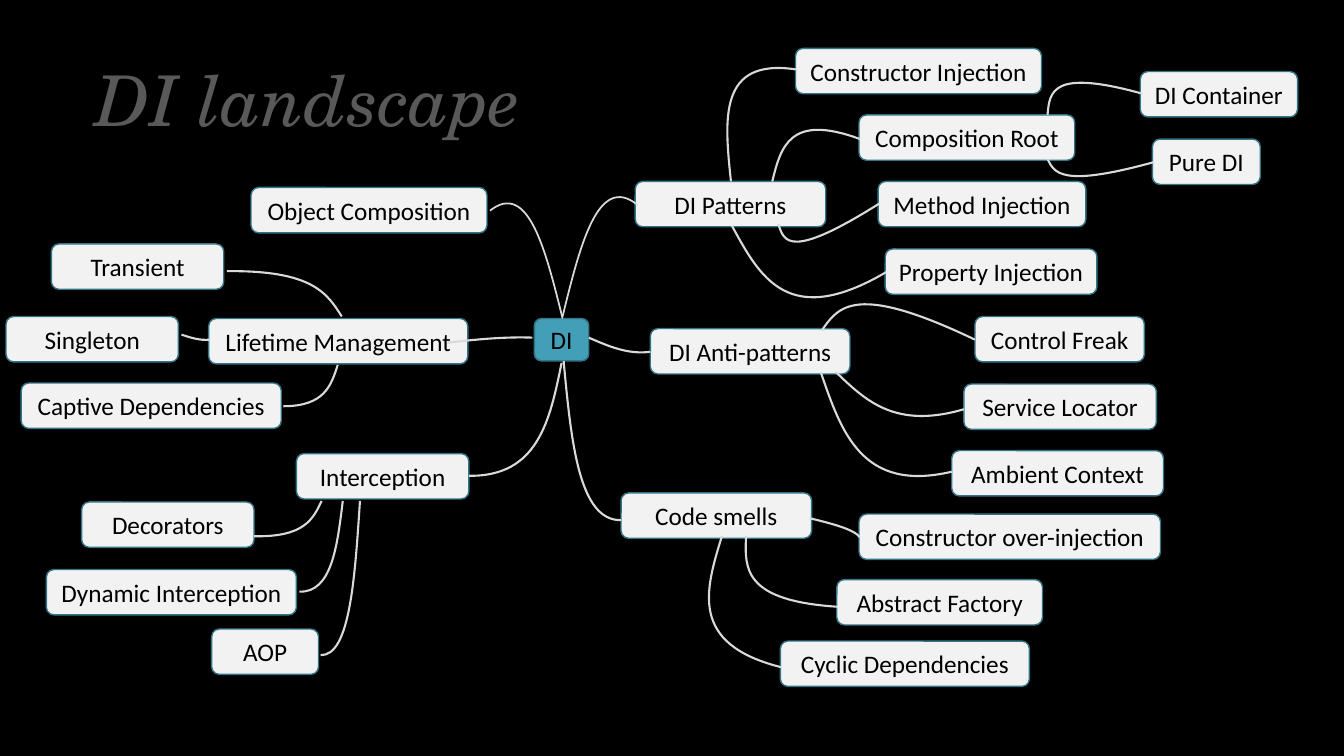
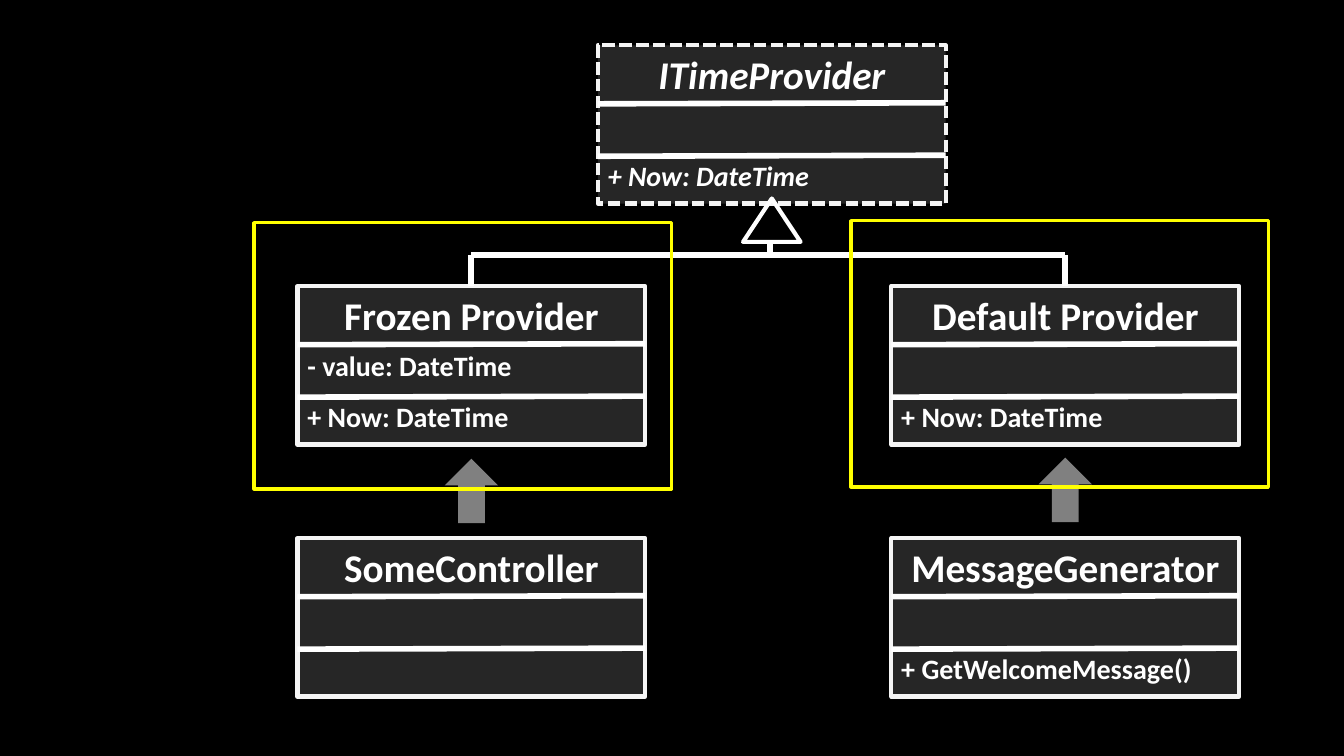
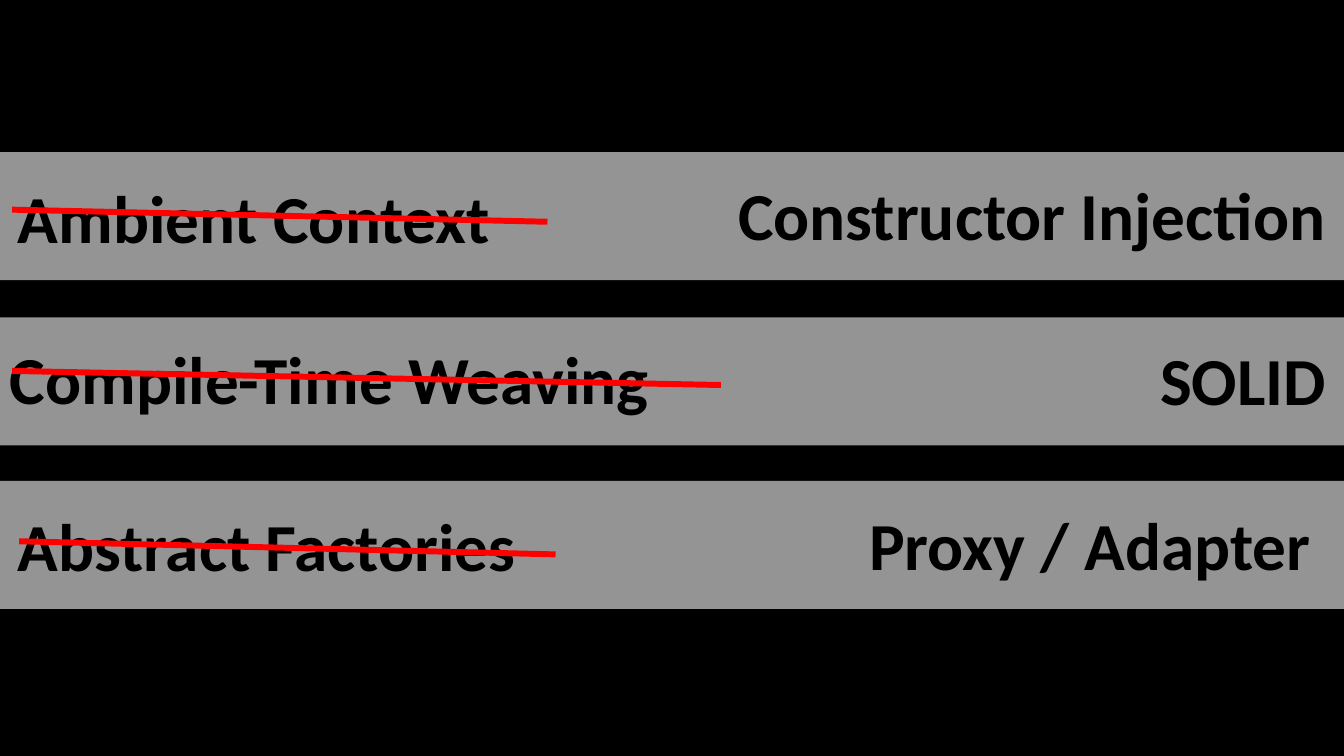
from lxml.etree import SubElement
from pptx import Presentation
from pptx.dml.color import RGBColor
from pptx.enum.dml import MSO_LINE
from pptx.enum.shapes import MSO_CONNECTOR, MSO_SHAPE
from pptx.enum.text import MSO_ANCHOR, PP_ALIGN
from pptx.oxml.ns import qn
from pptx.util import Inches, Pt

COLORS = {
    "black": "000000",
    "white": "FFFFFF",
    "title": "595959",
    "root": "439EB7",
    "node": "F2F2F2",
    "node_edge": "327587",
    "branch": "D9D9D9",
    "class": "262626",
    "class_edge": "F5F5F5",
    "arrow": "808080",
    "highlight": "FFFF00",
    "strike": "FF0000",
}
FORMATS = {
    "title": {"name": "TeX Gyre Schola", "size": Pt(50), "bold": False, "italic": True},
    "node": {"name": "Calibri", "size": Pt(18)},
    "class": {"name": "Calibri", "size": Pt(28), "bold": True},
    "member": {"name": "Calibri", "size": Pt(20), "bold": True},
    "practice": {"name": "Calibri", "size": Pt(48), "bold": True},
}
NODE_HEIGHT = 0.45
CLASS_WIDTH, CLASS_HEIGHT = 3.45, 1.57
CURVE_STEPS = 24

NODES = [
    ("DI Patterns", 6.3, 1.8, 1.89),
    ("DI Anti-patterns", 6.45, 3.26, 1.98),
    ("Code smells", 6.16, 4.89, 1.89),
    ("Constructor Injection", 7.89, 0.48, 2.44),
    ("Composition Root", 8.52, 1.14, 2.14),
    ("Method Injection", 8.71, 1.8, 2.06),
    ("Property Injection", 8.78, 2.47, 2.1),
    ("DI Container", 11.31, 0.71, 1.56),
    ("Pure DI", 11.43, 1.38, 1.07),
    ("Control Freak", 9.67, 3.14, 1.68),
    ("Service Locator", 9.56, 3.81, 1.91),
    ("Ambient Context", 9.44, 4.47, 2.1),
    ("Constructor over-injection", 8.52, 5.1, 2.99),
    ("Abstract Factory", 8.3, 5.75, 2.04),
    ("Cyclic Dependencies", 7.74, 6.36, 2.47),
    ("Object Composition", 2.49, 1.86, 2.34),
    ("Lifetime Management", 2.07, 3.16, 2.57),
    ("Interception", 2.94, 4.5, 1.71),
    ("Decorators", 0.81, 4.98, 1.71),
    ("Dynamic Interception", 0.46, 5.65, 2.48),
    ("Transient", 0.51, 2.42, 1.71),
    ("Singleton", 0.06, 3.14, 1.71),
    ("Captive Dependencies", 0.21, 3.8, 2.58),
    ("AOP", 2.1, 6.24, 1.06),
]
THIN_BRANCHES = [
    ((5.58, 3.14), (5.93, 1.72), (6.32, 2.03)),
    ((5.58, 3.16), (5.24, 1.79), (4.86, 2.09)),
]
BRANCHES = [
    ((5.59, 3.58), (5.74, 5.17), (6.16, 5.16)),
    ((5.84, 3.35), (6.23, 3.52), (6.45, 3.49)),
    ((7.25, 1.8), (7.12, 0.57), (7.9, 0.69)),
    ((7.26, 2.24), (7.82, 3.27), (8.79, 2.7)),
    ((7.66, 1.8), (7.83, 1.12), (8.53, 1.38)),
    ((7.72, 2.22), (7.83, 2.58), (8.72, 2.02)),
    ((8.15, 3.28), (8.48, 2.8), (9.67, 3.37)),
    ((8.14, 3.69), (8.55, 4.89), (9.44, 4.68)),
    ((8.29, 3.69), (8.88, 4.26), (9.56, 4.06)),
    ((8.03, 5.14), (8.47, 5.25), (8.53, 5.33)),
    ((7.4, 5.32), (7.37, 5.96), (8.31, 6.02)),
    ((7.16, 5.32), (6.83, 6.39), (7.75, 6.62)),
    ((10.39, 1.14), (10.43, 0.68), (11.33, 0.93)),
    ((10.39, 1.58), (10.53, 1.86), (11.44, 1.61)),
    ((5.57, 3.6), (5.34, 4.73), (4.65, 4.72)),
    ((4.44, 3.4), (4.98, 3.34), (5.28, 3.35)),
    ((3.35, 3.62), (3.22, 4.03), (2.81, 4.03)),
    ((3.39, 3.14), (3.1, 2.68), (2.25, 2.69)),
    ((1.8, 3.32), (1.98, 3.38), (2.08, 3.37)),
    ((3.19, 4.97), (3.02, 5.33), (2.52, 5.32)),
    ((3.4, 4.97), (3.29, 5.88), (2.97, 5.87)),
    ((3.57, 4.97), (3.47, 6.51), (3.18, 6.5)),
]


def rgb(color):
    """Return the palette colour with this name."""
    return RGBColor.from_string(COLORS[color])


def write(box, text, style, color, align=PP_ALIGN.LEFT, **extra):
    """Write one formatted paragraph and return it."""
    para = box.text_frame.paragraphs[0]
    para.alignment = align
    span = para.add_run()
    span.text = text
    for name, value in {**FORMATS[style], **extra}.items():
        setattr(span.font, name, value)
    span.font.color.rgb = rgb(color)
    return para


def paint(shape, fill=None, line=None, width=1):
    """Set the fill and outline, leaving out those not named."""
    shape.shadow.inherit = False
    if fill:
        shape.fill.solid()
        shape.fill.fore_color.rgb = rgb(fill)
    else:
        shape.fill.background()
    if line:
        shape.line.color.rgb = rgb(line)
        shape.line.width = Pt(width)
    else:
        shape.line.fill.background()


def add_preset(shapes, kind, place, **look):
    """Add a painted preset shape."""
    shape = shapes.add_shape(kind, *map(Inches, place))
    paint(shape, **look)
    return shape


def add_text(shapes, place, text, style, color, anchor=MSO_ANCHOR.TOP, **extra):
    """Add a wrapping text box."""
    box = shapes.add_textbox(*map(Inches, place))
    box.text_frame.word_wrap = True
    box.text_frame.vertical_anchor = anchor
    write(box, text, style, color, **extra)


def add_line(shapes, start, end, color="white", width=4):
    """Add a straight line without a shadow."""
    line = shapes.add_connector(MSO_CONNECTOR.STRAIGHT, *map(Inches, start + end))
    line.line.color.rgb = rgb(color)
    line.line.width = Pt(width)
    SubElement(line._element.spPr, qn("a:effectLst"))


def add_node(shapes, text, place, fill="node"):
    """Add a labelled node of the mind map."""
    node = add_preset(shapes, MSO_SHAPE.ROUNDED_RECTANGLE, place, fill=fill, line="node_edge")
    node.text_frame.word_wrap = False
    node.text_frame.vertical_anchor = MSO_ANCHOR.MIDDLE
    write(node, text, "node", "black", PP_ALIGN.CENTER)


def curve_point(controls, t):
    """Return the point at t on a cubic with these four control points."""
    weights = ((1 - t) ** 3, 3 * (1 - t) ** 2 * t, 3 * (1 - t) * t ** 2, t ** 3)
    return tuple(
        Inches(sum(weight * value for weight, value in zip(weights, axis)))
        for axis in zip(*controls)
    )


def add_branch(shapes, start, pull, end, width=1.5):
    """Add one cubic whose first handle is halfway from start to pull."""
    handle = tuple((a + b) / 2 for a, b in zip(start, pull))
    controls = (start, handle, pull, end)
    points = [curve_point(controls, step / CURVE_STEPS) for step in range(CURVE_STEPS + 1)]
    builder = shapes.build_freeform(*points[0])
    builder.add_line_segments(points[1:], close=False)
    branch = builder.convert_to_shape()
    outline = next(branch._element.iter(qn("a:path")))
    for segment in list(outline):
        outline.remove(segment)
    for tag, vertices in (("a:moveTo", controls[:1]), ("a:cubicBezTo", controls[1:])):
        segment = SubElement(outline, qn(tag))
        for x, y in vertices:
            SubElement(segment, qn("a:pt"), x=str(Inches(x) - branch.left),
                       y=str(Inches(y) - branch.top))
    paint(branch, line="branch", width=width)


def add_class(page, left, top, name, field="", method="", abstract=False):
    """Add a class box with name, field and method compartments."""
    shapes = page.shapes.add_group_shape().shapes
    frame = add_preset(shapes, MSO_SHAPE.RECTANGLE, (left, top, CLASS_WIDTH, CLASS_HEIGHT),
                       fill="class", line="class_edge", width=3)
    if abstract:
        frame.line.dash_style = MSO_LINE.SQUARE_DOT
    add_text(shapes, (left, top, CLASS_WIDTH, 0.57), name, "class", "white",
             align=PP_ALIGN.CENTER, italic=abstract)
    for offset, member in ((0.57, field), (1.07, method)):
        if member:
            add_text(shapes, (left, top + offset, CLASS_WIDTH, 0.44), member,
                     "member", "white", italic=abstract)
    for offset in (0.58, 1.1):
        add_line(shapes, (left, top + offset), (left + CLASS_WIDTH, top + offset - 0.01))


def add_practice(page, top, old, old_place, new, new_top, strike):
    """Add a band with a struck practice and its replacement."""
    shapes = page.shapes
    band = add_preset(shapes, MSO_SHAPE.RECTANGLE, (0, top, 13.33, 1.27), fill="white")
    color = band._element.spPr.find(qn("a:solidFill"))[0]
    SubElement(color, qn("a:alpha"), val="58000")
    for place, text, align in ((old_place, old, PP_ALIGN.LEFT),
                               ((0.08, new_top), new, PP_ALIGN.RIGHT)):
        add_text(shapes, place + (13.17, 0.91), text, "practice", "black",
                 MSO_ANCHOR.MIDDLE, align=align)
    add_line(shapes, *strike, color="strike", width=4.25)


def build_landscape(page):
    """Build the mind map."""
    title = page.shapes.title
    place = {"left": 0.83, "top": 0.61, "width": 4.44, "height": 5.42}
    for name, value in place.items():
        setattr(title, name, Inches(value))
    title.text_frame.vertical_anchor = MSO_ANCHOR.TOP
    write(title, "DI landscape", "title", "title", PP_ALIGN.RIGHT).line_spacing = 0.9
    add_node(page.shapes, "DI", (5.3, 3.16, 0.54, 0.42), fill="root")
    for text, left, top, width in NODES:
        add_node(page.shapes, text, (left, top, width, NODE_HEIGHT))
    for branch in THIN_BRANCHES:
        add_branch(page.shapes, *branch, width=1.25)
    for branch in BRANCHES:
        add_branch(page.shapes, *branch)


def build_classes(page):
    """Build the class diagram."""
    left, right = 2.95, 8.84
    middle_row, bottom_row = 2.84, 5.34
    now = "+ Now: DateTime"
    add_class(page, 5.93, 0.45, "ITimeProvider", method=now, abstract=True)
    add_class(page, left, middle_row, "Frozen Provider", "- value: DateTime", now)
    add_class(page, right, middle_row, "Default Provider", method=now)
    add_class(page, left, bottom_row, "SomeController")
    add_class(page, right, bottom_row, "MessageGenerator", method="+ GetWelcomeMessage()")

    shapes = page.shapes
    add_preset(shapes, MSO_SHAPE.ISOSCELES_TRIANGLE, (7.37, 1.97, 0.57, 0.43), line="white", width=3)
    centers = [edge + 1.72 for edge in (left, right)]
    rail = 2.53
    for center in centers:
        add_line(shapes, (center, middle_row), (center, rail))
    add_line(shapes, (centers[0], rail), (centers[1], rail))
    add_line(shapes, (7.64, 2.4), (7.64, rail))
    for center, top in zip(centers, (4.55, 4.54)):
        arrow = add_preset(shapes, MSO_SHAPE.DOWN_ARROW, (center - 0.26, top, 0.53, 0.64), fill="arrow")
        arrow.rotation = 180
    for edge, top in ((8.44, 2.19), (2.52, 2.21)):
        add_preset(shapes, MSO_SHAPE.RECTANGLE, (edge, top, 4.14, 2.64), line="highlight", width=2.5)


def build_practices(page):
    """Build the bands of replaced practices."""
    add_practice(page, 1.51, "Ambient Context", (0.08, 1.69),
                 "Constructor Injection", 1.66, ((0.12, 2.08), (5.43, 2.2)))
    add_practice(page, 3.15, "Compile-Time Weaving", (0, 3.29),
                 "SOLID", 3.3, ((0.12, 3.68), (7.15, 3.82)))
    add_practice(page, 4.77, "Abstract Factories", (0.08, 4.95),
                 "Proxy / Adapter ", 4.94, ((0.19, 5.37), (5.51, 5.5)))


def main():
    """Build and save the deck."""
    deck = Presentation()
    deck.slide_width, deck.slide_height = Inches(13.33), Inches(7.5)
    backdrop = deck.slide_master.background.fill
    backdrop.solid()
    backdrop.fore_color.rgb = rgb("black")
    title_only, blank = deck.slide_layouts[5], deck.slide_layouts[6]
    for layout, build in ((title_only, build_landscape), (blank, build_classes),
                          (blank, build_practices)):
        build(deck.slides.add_slide(layout))
    deck.save("out.pptx")


if __name__ == "__main__":
    main()
